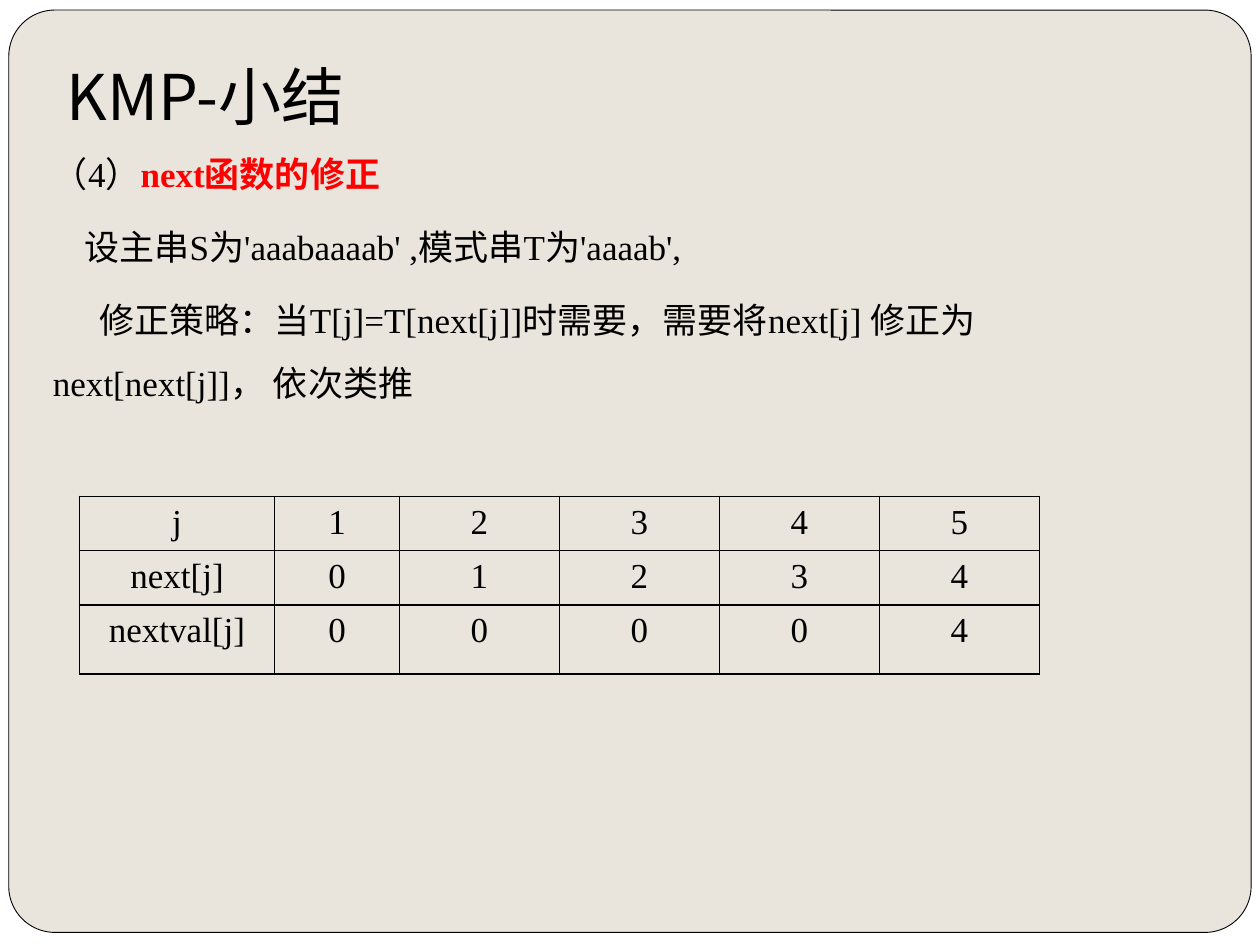
from pptx import Presentation
from pptx.dml.color import RGBColor
from pptx.enum.shapes import MSO_SHAPE as Shape
from pptx.enum.text import MSO_ANCHOR as Anchor, MSO_AUTO_SIZE as Auto, PP_ALIGN as Align
from pptx.oxml.ns import qn
from pptx.util import Inches, Pt
from lxml.etree import SubElement as Sub

# Content
TITLE = "KMP-小结"
# Each paragraph: first-line indent, line spacing, runs of (text, colour, bold)
BODY = [
    (0, 1.0, [("（4）", "000000", False), ("next函数的修正", "FF0000", True)]),
    (0.25, 1.5, [("设主串S为'aaabaaaab' ,模式串T为'aaaab',", "000000", False)]),
    (0.37, 1.5, [("修正策略：当T[j]=T[next[j]]时需要，需要将next[j] 修正为"
                  "next[next[j]]， 依次类推", "000000", False)]),
]
ROWS = [
    ["j", 1, 2, 3, 4, 5],
    ["next[j]", 0, 1, 2, 3, 4],
    ["nextval[j]", 0, 0, 0, 0, 4],
]
WIDTHS = [1.55, 0.99] + [1.27] * 4
HEIGHTS = [0.43, 0.43, 0.55]
SERIF, SANS = "Times New Roman", "Noto Sans CJK SC"


def color(code):
    return RGBColor.from_string(code)


def style(font, name, size, code="000000", bold=False):
    font.name, font.size, font.bold = name, Pt(size), bold
    font.color.rgb = color(code)


def place(item, left, top, width, height):
    item.left, item.top = Inches(left), Inches(top)
    item.width, item.height = Inches(width), Inches(height)


def border(cell):
    props = cell._tc.get_or_add_tcPr()
    for at, side in enumerate(("lnL", "lnR", "lnT", "lnB")):
        line = props.makeelement(qn(f"a:{side}"), {"w": str(Pt(1))})
        fill = Sub(line, qn("a:solidFill"))
        Sub(fill, qn("a:srgbClr"), val="000000")
        props.insert(at, line)


prs = Presentation()
prs.slide_width, prs.slide_height = Inches(10), Inches(7.5)
slide = prs.slides.add_slide(prs.slide_layouts[1])
shapes = slide.shapes
title, body = shapes.title, slide.placeholders[1]

# White page with a rounded panel behind everything
slide.background.fill.solid()
slide.background.fill.fore_color.rgb = color("FFFFFF")
panel = shapes.add_shape(Shape.ROUNDED_RECTANGLE, 0, 0, 0, 0)
place(panel, 0.07, 0.08, 9.86, 7.32)
panel.adjustments[0] = 0.05
panel.shadow.inherit = False
panel.fill.solid()
panel.fill.fore_color.rgb = color("E9E5DC")
panel.line.color.rgb = color("000000")
panel.line.width = Pt(0.5)
shapes._spTree.insert(2, panel._element)

# Title
place(title, 0.43, 0.18, 8.5, 0.98)
frame = title.text_frame
frame.text = TITLE
frame.auto_size = Auto.NONE
frame.vertical_anchor = Anchor.BOTTOM
frame.margin_bottom = Inches(0.1)
para = frame.paragraphs[0]
para.alignment = Align.LEFT
style(para.font, SANS, 36)

# Body text
place(body, 0.32, 1.16, 9.02, 5.75)
frame = body.text_frame
frame.auto_size = Auto.NONE
for i, (indent, space, runs) in enumerate(BODY):
    para = frame.add_paragraph() if i else frame.paragraphs[0]
    props = para._p.get_or_add_pPr()
    props.set("marL", "0")
    props.set("indent", str(Inches(indent)))
    Sub(props, qn("a:buNone"))
    para.line_spacing = space
    para.space_before = Pt(5.8 if i else 0)
    for text, code, bold in runs:
        run = para.add_run()
        run.text = text
        style(run.font, SERIF, 20, code, bold)

# Table of next and nextval
grid = shapes.add_table(len(ROWS), len(WIDTHS), Inches(0.63), Inches(3.94),
                        Inches(sum(WIDTHS)), Inches(sum(HEIGHTS))).table
grid.first_row = grid.horz_banding = False
for col, width in zip(grid.columns, WIDTHS):
    col.width = Inches(width)
for row, height, texts in zip(grid.rows, HEIGHTS, ROWS):
    row.height = Inches(height)
    for cell, text in zip(row.cells, texts):
        cell.text = str(text)
        cell.fill.background()
        border(cell)
        para = cell.text_frame.paragraphs[0]
        para.alignment = Align.CENTER
        style(para.font, SERIF, 20)

prs.save("out.pptx")
